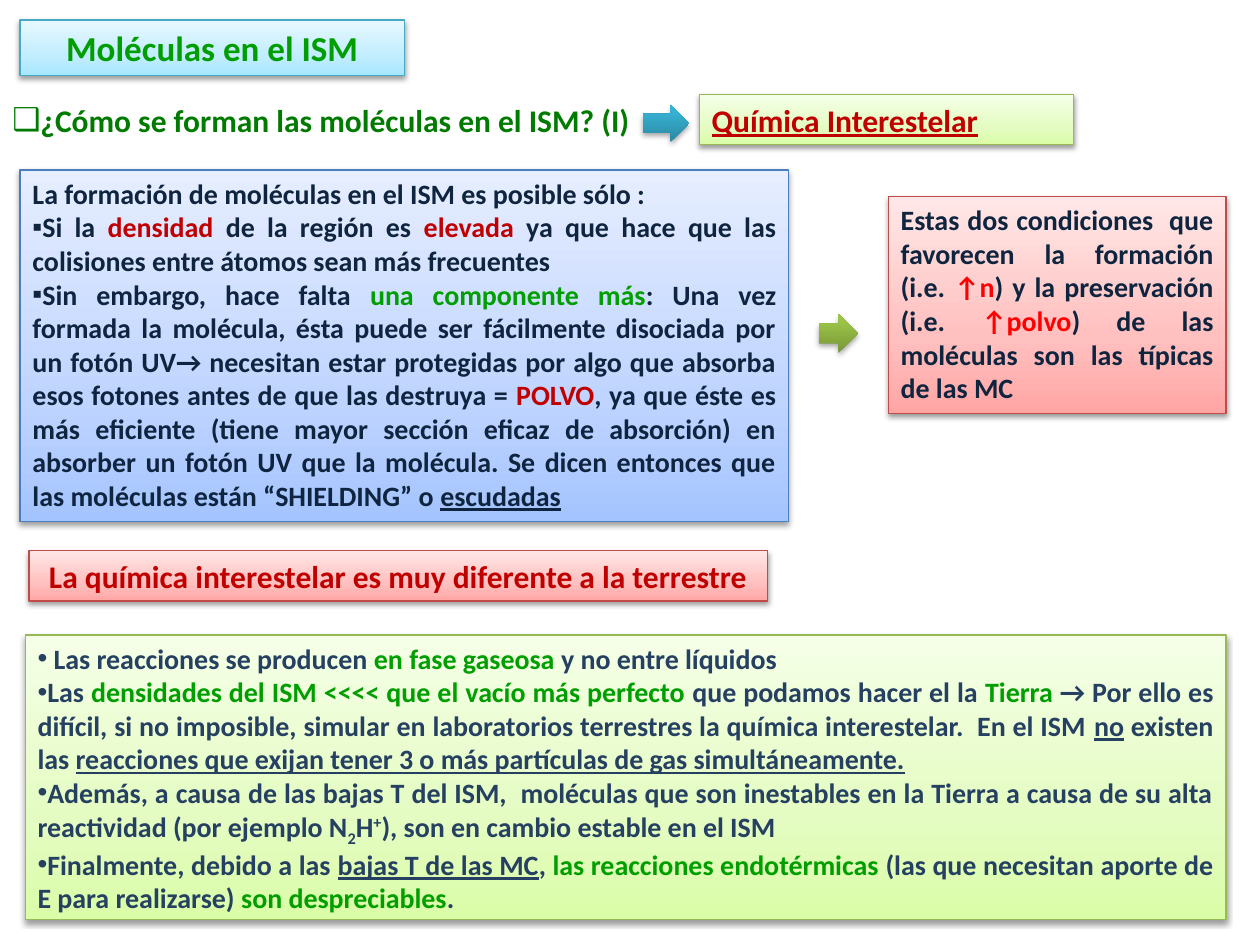
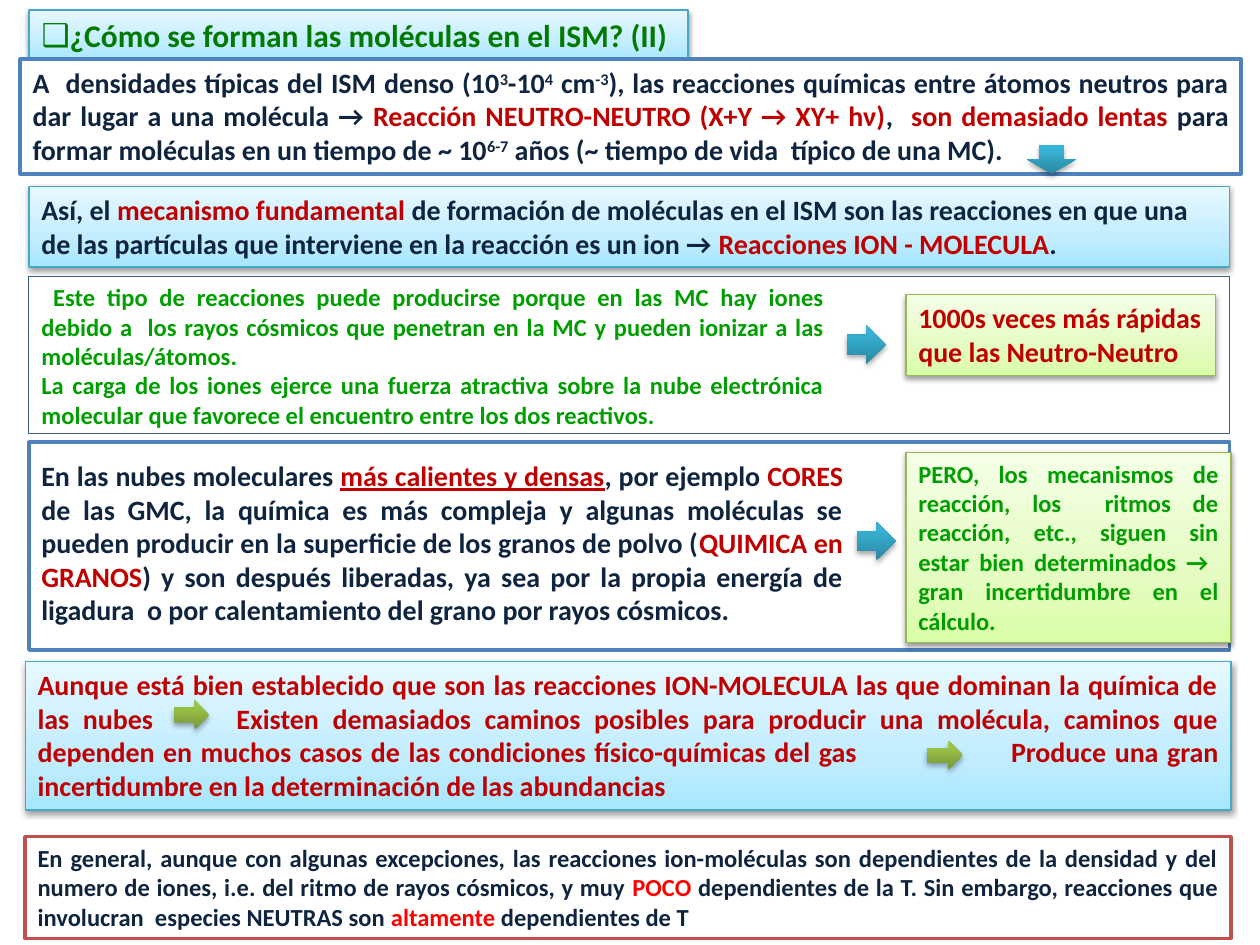
from lxml.etree import SubElement
from pptx import Presentation
from pptx.dml.color import RGBColor
from pptx.enum.shapes import MSO_SHAPE
from pptx.enum.text import MSO_ANCHOR, MSO_AUTO_SIZE, PP_ALIGN
from pptx.oxml import parse_xml
from pptx.oxml.ns import nsdecls, qn
from pptx.util import Inches, Pt

COLORS = {
    "navy": "0F243E", "slate": "254061", "green": "009E00", "forest": "007A00",
    "red": "C00000", "bright": "FF0000", "white": "FFFFFF",
    "blue": "4F81BD", "brick": "C0504D", "steel": "3A5F8C",
    "aqua line": "46AAC5", "blue line": "4B7EBC",
    "rose line": "BF4C48", "lime line": "98B955",
}

# Gradient stops run from the bottom edge to the top edge.
BOX_STOPS, ARROW_STOPS = (0, 35, 100), (0, 80, 100)
GRADS = {
    "aqua": (BOX_STOPS, ("A7E6FF", "C1EDFF", "E7F8FF")),
    "blue": (BOX_STOPS, ("A4C4FF", "BFD4FF", "E6EEFF")),
    "rose": (BOX_STOPS, ("FFA6A5", "FFC0BF", "FFE7E7")),
    "lime": (BOX_STOPS, ("DAFDA7", "E4FCC2", "F5FFE7")),
    "teal arrow": (ARROW_STOPS, ("2A88A2", "37B1D2", "34B4D6")),
    "olive arrow": (ARROW_STOPS, ("779737", "9BC348", "9DC746")),
}
FRAMES = {
    "blue frame": ("white", "blue", 2),
    "brick frame": ("white", "brick", 2),
    "thin frame": (None, "steel", 0.5),
}

STYLES = {
    "under": {"underline": True},
    "red under": {"underline": True, "color": "red"},
    "sub": {"base": -25},
    "sup": {"base": 30},
}
ALIGNS = {"left": PP_ALIGN.LEFT, "center": PP_ALIGN.CENTER, "just": PP_ALIGN.JUSTIFY}
SHAPES = {"box": MSO_SHAPE.RECTANGLE, "right": MSO_SHAPE.RIGHT_ARROW,
          "down": MSO_SHAPE.DOWN_ARROW}


def paint(shape, look):
    """Give the shape the fill, line and shadow of a named look."""
    if look in FRAMES:
        fill, line, width = FRAMES[look]
        shape.shadow.inherit = False
        if fill:
            shape.fill.solid()
            shape.fill.fore_color.rgb = RGBColor.from_string(COLORS[fill])
        else:
            shape.fill.background()
    else:
        arrow = look.endswith("arrow")
        line, width = (None if arrow else look + " line"), 0.75
        stops = "".join(
            f'<a:gs pos="{pos * 1000}"><a:srgbClr val="{tone}"/></a:gs>'
            for pos, tone in zip(*GRADS[look]))
        props = shape._element.spPr
        props.append(parse_xml(
            f'<a:gradFill {nsdecls("a")} rotWithShape="1"><a:gsLst>{stops}</a:gsLst>'
            '<a:lin ang="16200000" scaled="0"/></a:gradFill>'))
        dist, alpha = (23000, 35000) if arrow else (20000, 38000)
        props.append(parse_xml(
            f'<a:effectLst {nsdecls("a")}><a:outerShdw blurRad="40000" dist="{dist}" '
            'dir="5400000" rotWithShape="0"><a:srgbClr val="000000">'
            f'<a:alpha val="{alpha}"/></a:srgbClr></a:outerShdw></a:effectLst>'))
    if line:
        shape.line.color.rgb = RGBColor.from_string(COLORS[line])
        shape.line.width = Pt(width)
    else:
        shape.line.fill.background()


def write(shape, paras, size=16, color="navy", align="just", mark=None, plain=0, tabs=()):
    """Fill the shape with paragraphs of runs; the first `plain` ones get no mark.

    A run is a string, or a pair of a string and a style or colour name.
    """
    frame = shape.text_frame
    layout = {"word_wrap": True, "auto_size": MSO_AUTO_SIZE.NONE,
              "vertical_anchor": MSO_ANCHOR.TOP}
    for key, value in layout.items():
        setattr(frame, key, value)
    for num, runs in enumerate(paras):
        para = frame.paragraphs[0] if num == 0 else frame.add_paragraph()
        para.alignment = ALIGNS["left" if num < plain else align]
        props = para._p.get_or_add_pPr()
        if mark and num >= plain:
            props.set("marL", "0")
            props.set("indent", "0")
            SubElement(props, qn("a:buFont"), typeface="Arial")
            SubElement(props, qn("a:buChar"), char=mark)
        if tabs:
            stops = SubElement(props, qn("a:tabLst"))
            for stop in tabs:
                SubElement(stops, qn("a:tab"), pos=str(Inches(stop)), algn="l")
        for part in runs:
            text, name = (part, color) if isinstance(part, str) else part
            style = STYLES.get(name, {"color": name})
            run = para.add_run()
            run.text = text
            font = {"name": "Calibri", "size": Pt(size), "bold": True,
                    "underline": style.get("underline")}
            for key, value in font.items():
                setattr(run.font, key, value)
            run.font.color.rgb = RGBColor.from_string(COLORS[style.get("color", color)])
            if "base" in style:
                run._r.get_or_add_rPr().set("baseline", str(style["base"] * 1000))


HEAD = {"size": 18, "color": "forest", "align": "left", "mark": "❑"}

# Each item: kind, (left, top, width, height), look, text settings.
FIRST = [
    ("title", (0.16, 0.16, 3.05, 0.44), "aqua", {
        "size": 20, "color": "green", "align": "center",
        "paras": [["Moléculas en el ISM"]]}),
    ("text", (0, 0.75, 5.94, 0.4), None, {
        **HEAD, "paras": [["¿Cómo se forman las moléculas en el ISM? (I)"]]}),
    ("box", (0.16, 1.35, 6.1, 2.79), "blue", {
        "mark": "▪", "plain": 1,
        "paras": [
            ["La formación de moléculas en el ISM es posible sólo :"],
            ["Si la ", ("densidad ", "red"), "de la región es ", ("elevada", "red"),
             " ya que hace que las colisiones entre átomos sean más frecuentes"],
            ["Sin embargo, hace falta ", ("una componente más", "green"),
             ": Una vez formada la molécula, ésta puede ser fácilmente disociada por un "
             "fotón UV→ necesitan estar protegidas por algo que absorba esos fotones "
             "antes de que las destruya = ", ("POLVO", "red"),
             ", ya que éste es más eficiente (tiene mayor sección eficaz de absorción) "
             "en absorber un fotón UV que la molécula. Se dicen entonces que las "
             "moléculas están “SHIELDING” o ", ("escudadas", "under")]]}),
    ("box", (7.05, 1.56, 2.68, 1.72), "rose", {
        "paras": [["Estas dos condiciones  que favorecen la formación (i.e. ",
                   ("↑n", "bright"), ") y la preservación (i.e. ", ("↑polvo", "bright"),
                   ") de las moléculas son las típicas de las MC"]]}),
    ("right", (6.5, 2.49, 0.31, 0.31), "olive arrow", None),
    ("box", (0.23, 4.37, 5.86, 0.4), "rose", {
        "size": 18, "color": "red", "align": "center",
        "paras": [["La química interestelar es muy diferente a la terrestre"]]}),
    ("box", (0.2, 5.04, 9.53, 2.26), "lime", {
        "color": "slate", "mark": "•",
        "paras": [
            [" Las reacciones se producen ", ("en fase gaseosa ", "green"),
             "y no entre líquidos"],
            ["Las ", ("densidades del ISM <<<< que el vacío más perfecto ", "green"),
             "que podamos hacer el la ", ("Tierra ", "green"),
             "→ Por ello es difícil, si no imposible, simular en laboratorios terrestres "
             "la química interestelar.  En el ISM ", ("no", "under"), " existen las ",
             ("reacciones que exijan tener 3 o más partículas de gas simultáneamente.",
              "under")],
            ["Además, a causa de las bajas T del ISM,  moléculas que son inestables en la "
             "Tierra a causa de su alta reactividad (por ejemplo N", ("2", "sub"), "H",
             ("+", "sup"), "), son en cambio estable en el ISM"],
            ["Finalmente, debido a las ", ("bajas T de las MC", "under"), ", ",
             ("las reacciones endotérmicas ", "green"),
             "(las que necesitan aporte de E para realizarse) ",
             ("son despreciables", "green"), "."]]}),
    ("right", (5.1, 0.83, 0.37, 0.3), "teal arrow", None),
    ("box", (5.55, 0.75, 2.97, 0.4), "lime", {
        "size": 18, "align": "left",
        "paras": [[("Química Interestelar", "red under")]]}),
]

SECOND = [
    ("box", (0.23, 3.51, 9.53, 1.65), "blue frame", None),
    ("title", (0.23, 0.08, 5.23, 0.4), "aqua", {
        **HEAD, "paras": [["¿Cómo se forman las moléculas en el ISM? (II)"]]}),
    ("box", (0.23, 1.48, 9.53, 0.64), "aqua", {
        "align": "left",
        "paras": [["Así, el ", ("mecanismo fundamental ", "red"),
                   "de formación de moléculas en el ISM son las reacciones en que una de "
                   "las partículas que interviene en la reacción es un ion → ",
                   ("Reacciones ION - MOLECULA", "red"), "."]]}),
    ("box", (0.16, 0.47, 9.69, 0.91), "blue frame", {
        "paras": [["A  densidades típicas del ISM denso (10", ("3", "sup"), "-10",
                   ("4", "sup"), " cm", ("-3", "sup"),
                   "), las reacciones químicas entre átomos neutros para dar lugar a una "
                   "molécula → ", ("Reacción NEUTRO-NEUTRO (X+Y → XY+ hν)", "red"), ",  ",
                   ("son demasiado lentas ", "red"),
                   "para formar moléculas en un tiempo de ~ 10", ("6-7", "sup"),
                   " años (~ tiempo de vida  típico de una MC)."]]}),
    ("down", (8.15, 1.15, 0.39, 0.23), "teal arrow", None),
    ("text", (0.23, 2.19, 6.41, 1.28), None, {
        "size": 14, "color": "green",
        "paras": [
            [" Este tipo de reacciones puede producirse porque en las MC hay iones debido "
             "a  los rayos cósmicos que penetran en la MC y pueden ionizar a las "
             "moléculas/átomos."],
            ["La carga de los iones ejerce una fuerza atractiva sobre la nube electrónica "
             "molecular que favorece el encuentro entre los dos reactivos."]]}),
    ("right", (6.72, 2.58, 0.31, 0.31), "teal arrow", None),
    ("box", (7.19, 2.34, 2.46, 0.64), "lime", {
        "color": "red", "align": "left",
        "paras": [["1000s veces más rápidas que las Neutro-Neutro"]]}),
    ("text", (0.23, 3.59, 6.56, 1.45), None, {
        "paras": [["En las nubes moleculares ", ("más calientes y densas", "red under"),
                   ", por ejemplo ", ("CORES", "red"),
                   " de las GMC, la química es más compleja y algunas moléculas se pueden "
                   "producir en la superficie de los granos de polvo (",
                   ("QUIMICA en GRANOS", "red"),
                   ") y son después liberadas, ya sea por la propia energía de ligadura  o "
                   "por calentamiento del grano por rayos cósmicos."]]}),
    ("right", (6.8, 4.14, 0.31, 0.31), "teal arrow", None),
    ("box", (7.19, 3.59, 2.58, 1.51), "lime", {
        "size": 14, "color": "green",
        "paras": [["PERO, los mecanismos de reacción, los  ritmos de reacción, etc., siguen "
                   "sin estar bien determinados →  gran incertidumbre en el cálculo."]]}),
    ("box", (0.2, 5.25, 9.57, 1.18), "aqua", {
        "color": "red", "tabs": (1.52, 7.56),
        "paras": [["Aunque está bien establecido que son las reacciones ION-MOLECULA las que "
                   "dominan la química de las nubes\tExisten demasiados caminos posibles "
                   "para producir una molécula, caminos que dependen en muchos casos de las "
                   "condiciones físico-químicas del gas\tProduce una gran incertidumbre en "
                   "la determinación de las abundancias"]]}),
    ("right", (1.38, 5.56, 0.28, 0.23), "olive arrow", None),
    ("right", (7.36, 5.88, 0.28, 0.23), "olive arrow", None),
    ("box", (0.2, 6.64, 9.57, 0.81), "brick frame", {
        "size": 14,
        "paras": [["En general, aunque con algunas excepciones, las reacciones ion-moléculas "
                   "son dependientes de la densidad y del numero de iones, i.e. del ritmo de "
                   "rayos cósmicos, y muy ", ("POCO", "bright"),
                   " dependientes de la T. Sin embargo, reacciones que involucran  especies "
                   "NEUTRAS son ", ("altamente", "bright"), " dependientes de T"]]}),
    ("box", (0.23, 2.19, 9.53, 1.25), "thin frame", None),
]

deck = Presentation()
deck.slide_width, deck.slide_height = Inches(10), Inches(7.5)
for items in (FIRST, SECOND):
    slide = deck.slides.add_slide(deck.slide_layouts[5])
    for kind, place, look, text in items:
        spot = [Inches(side) for side in place]
        if kind == "title":
            shape = slide.shapes.title
            for side, value in zip(("left", "top", "width", "height"), spot):
                setattr(shape, side, value)
        elif kind == "text":
            shape = slide.shapes.add_textbox(*spot)
        else:
            shape = slide.shapes.add_shape(SHAPES[kind], *spot)
        if look:
            paint(shape, look)
        if text:
            write(shape, **text)
deck.save("out.pptx")
